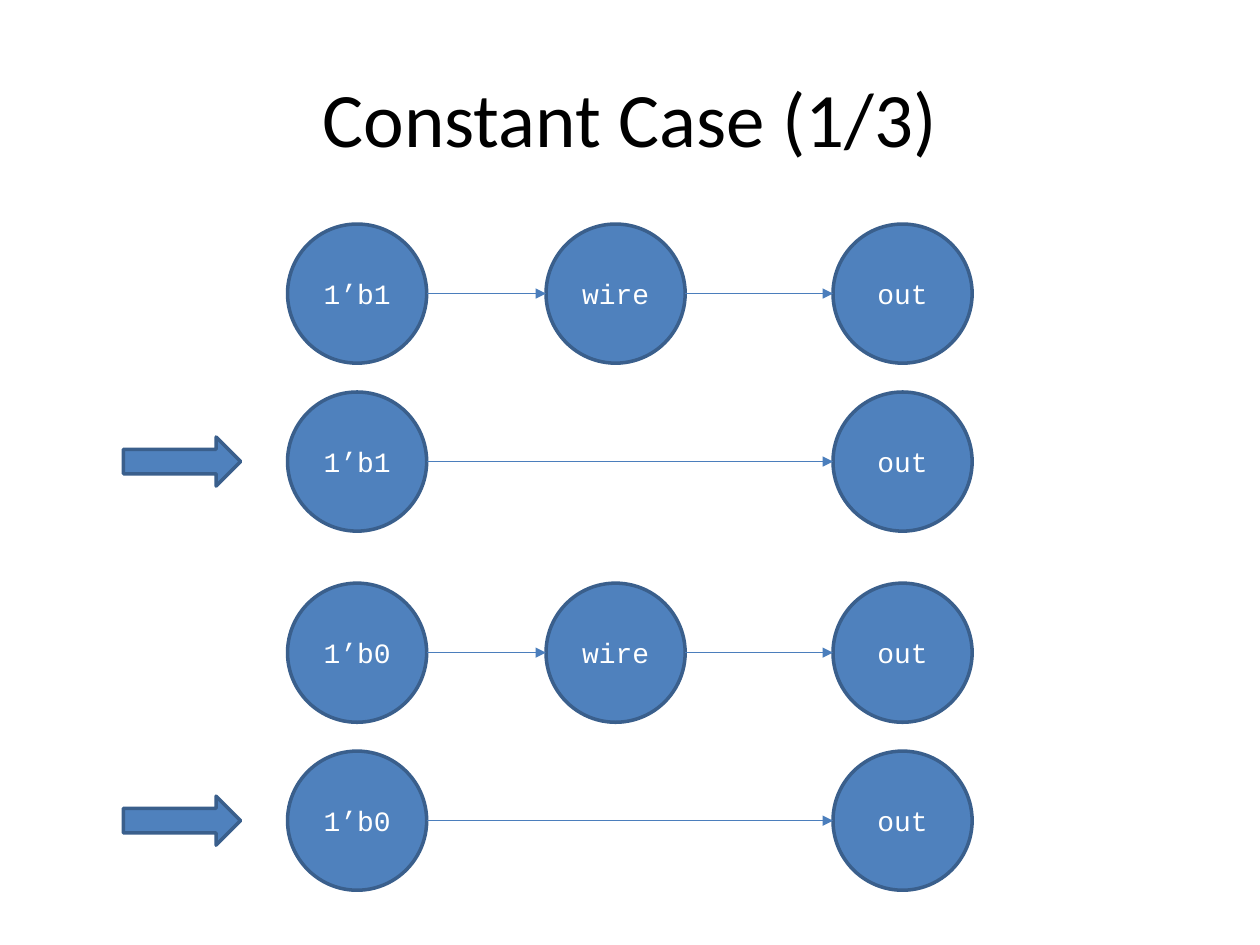
from itertools import pairwise

from pptx import Presentation
from pptx.dml.color import RGBColor
from pptx.enum.shapes import MSO_CONNECTOR, MSO_SHAPE
from pptx.enum.text import MSO_ANCHOR, PP_ALIGN
from pptx.oxml.ns import qn
from pptx.util import Pt
from lxml import etree

OVAL = MSO_SHAPE.OVAL
DOWN_ARROW = MSO_SHAPE.DOWN_ARROW
STRAIGHT = MSO_CONNECTOR.STRAIGHT
CENTER = PP_ALIGN.CENTER
MIDDLE = MSO_ANCHOR.MIDDLE

DIAMETER = 79.5
SOURCE_LEFT, WIRE_LEFT, OUT_LEFT = 164.3, 312, 476
ROW_STEP = 96
CASES = [("1’b1", 128), ("1’b0", 333.2)]
ARROW_CENTER, ARROW_WIDTH, ARROW_LENGTH = 104, 28, 67

TITLE_FONT = {"name": "Calibri", "size": Pt(44)}
NODE_FONT = {"name": "Courier New", "size": Pt(16)}


def color(hex_value):
    return RGBColor.from_string(hex_value)


def write(shape, text, font_values, hex_value):
    frame = shape.text_frame
    frame.vertical_anchor = MIDDLE
    para = frame.paragraphs[0]
    para.alignment = CENTER
    span = para.add_run()
    span.text = text
    for name, value in font_values.items():
        setattr(span.font, name, value)
    span.font.color.rgb = color(hex_value)


def add_filled_shape(shapes, kind, left, top, width, height):
    shape = shapes.add_shape(kind, Pt(left), Pt(top), Pt(width), Pt(height))
    shape.shadow.inherit = False
    shape.fill.solid()
    shape.fill.fore_color.rgb = color("4F81BD")
    shape.line.color.rgb = color("3A5F8C")
    shape.line.width = Pt(2)
    return shape


def add_edge(shapes, start, end, y):
    edge = shapes.add_connector(STRAIGHT, Pt(start), Pt(y), Pt(end), Pt(y))
    edge.line.color.rgb = color("4B7EBC")
    edge.line.width = Pt(0.75)
    etree.SubElement(edge.line._get_or_add_ln(), qn("a:tailEnd"), type="triangle")
    etree.SubElement(edge._element.spPr, qn("a:effectLst"))


def add_chain(page, nodes, top):
    """Draw a grouped row of (label, left) circles, each pointing to the next."""
    shapes = page.shapes.add_group_shape().shapes
    for label, left in nodes:
        circle = add_filled_shape(shapes, OVAL, left, top, DIAMETER, DIAMETER)
        write(circle, label, NODE_FONT, "FFFFFF")
    for (_, left), (_, next_left) in pairwise(nodes):
        add_edge(shapes, left + DIAMETER, next_left, top + DIAMETER / 2)


def add_result_arrow(page, center_y):
    arrow = add_filled_shape(
        page.shapes, DOWN_ARROW,
        ARROW_CENTER - ARROW_WIDTH / 2, center_y - ARROW_LENGTH / 2,
        ARROW_WIDTH, ARROW_LENGTH)
    arrow.rotation = 270


def add_title(page, text):
    title = page.shapes.title
    title.left, title.top = Pt(36), Pt(21.6)
    title.width, title.height = Pt(648), Pt(90)
    write(title, text, TITLE_FONT, "000000")


def main():
    deck = Presentation()
    deck.slide_width, deck.slide_height = Pt(720), Pt(540)
    page = deck.slides.add_slide(deck.slide_layouts[5])
    add_title(page, "Constant Case (1/3)")
    for constant, top in CASES:
        source, wire, out = (constant, SOURCE_LEFT), ("wire", WIRE_LEFT), ("out", OUT_LEFT)
        add_chain(page, [source, wire, out], top)
        add_chain(page, [source, out], top + ROW_STEP)
        add_result_arrow(page, top + ROW_STEP + DIAMETER / 2)
    deck.save("out.pptx")


if __name__ == "__main__":
    main()
